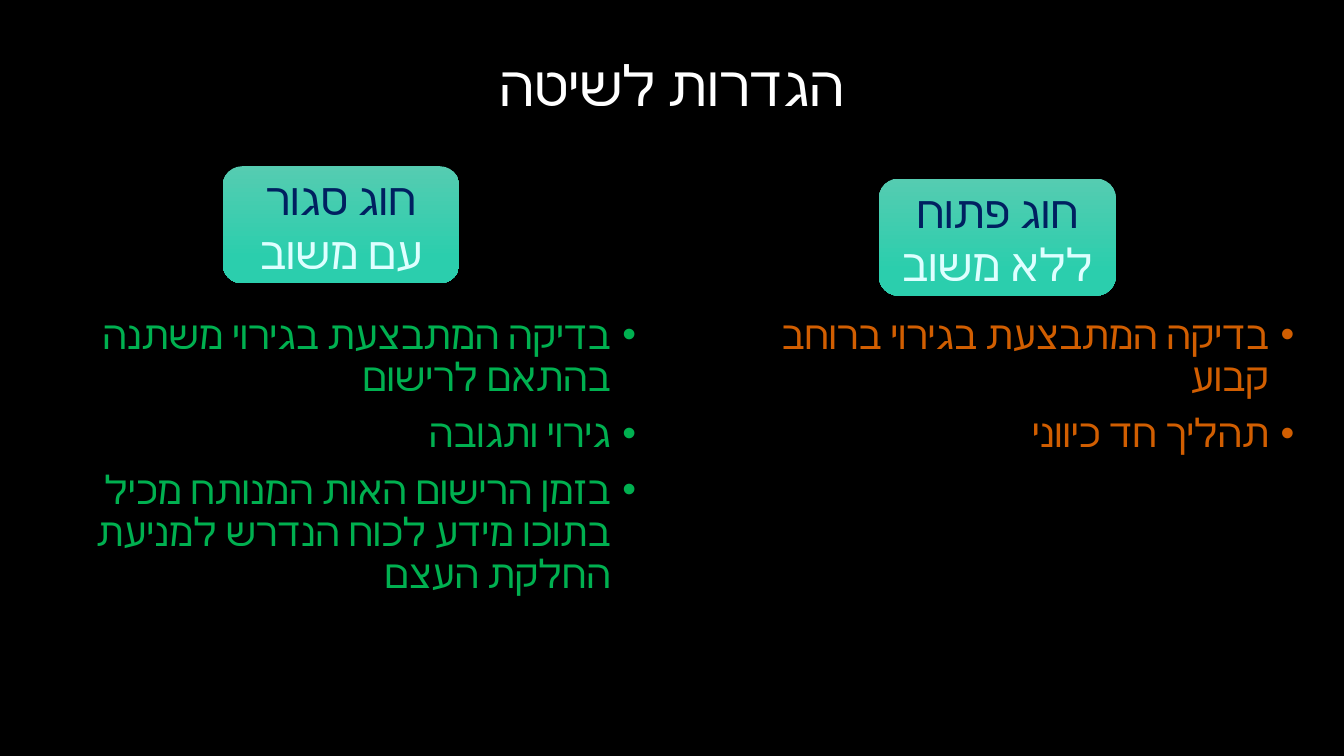
from dataclasses import dataclass

from lxml.etree import SubElement
from pptx import Presentation
from pptx.dml.color import RGBColor
from pptx.enum.shapes import MSO_SHAPE as Shape
from pptx.enum.text import MSO_ANCHOR as Anchor, PP_ALIGN as Align
from pptx.oxml import parse_xml
from pptx.oxml.ns import nsdecls, qn
from pptx.slide import Slide
from pptx.text.text import TextFrame
from pptx.util import Cm, Pt

COLORS = {
    "background": "000000",
    "title": "FFFFFF",
    "badge_top": "55CCB1",
    "badge_bottom": "2BCEAD",
    "loop": "002060",
    "feedback": "DEFFFF",
    "open": "D15E01",
    "closed": "00B050",
}
HEBREW_FONT = "Calibri"
BADGE_W, BADGE_H = 5.97, 2.95
BODY_TOP, BODY_W, BODY_H = 7.82, 15.37, 10.8
BULLET_INDENT = Cm(0.64)
SHADOW = (
    f'<a:effectLst {nsdecls("a")}>'
    f'<a:outerShdw blurRad="{Pt(4.5)}" dist="{Pt(1.5)}" dir="5400000" rotWithShape="0">'
    '<a:srgbClr val="000000"><a:alpha val="48000"/></a:srgbClr>'
    '</a:outerShdw></a:effectLst>'
)


@dataclass
class LoopType:
    name: str
    feedback: str
    badge_left: float
    badge_top: float
    body_left: float
    color: str
    points: list[str]


LOOPS = [
    LoopType("חוג פתוח", "ללא משוב", 22.15, 4.5, 17.5, "open", [
        "בדיקה המתבצעת בגירוי ברוחב קבוע",
        "תהליך חד כיווני",
    ]),
    LoopType("חוג סגור", "עם משוב", 5.61, 4.19, 0.91, "closed", [
        "בדיקה המתבצעת בגירוי משתנה בהתאם לרישום",
        "גירוי ותגובה",
        "בזמן הרישום האות המנותח מכיל בתוכו מידע לכוח הנדרש למניעת החלקת העצם",
    ]),
]


def rgb(name: str) -> RGBColor:
    return RGBColor.from_string(COLORS[name])


def add_text(tf: TextFrame, text: str, *, size: float, font: str, color: str,
             align: Align = Align.CENTER, rtl: bool = False, bullet: bool = False,
             spacing: float = 1.0, before: float = 0) -> None:
    first = not tf.text
    p = tf.paragraphs[0] if first else tf.add_paragraph()
    p.alignment = align
    p.line_spacing = spacing
    p.space_before = Pt(0 if first else before)
    p_pr = p._p.get_or_add_pPr()
    if rtl:
        p_pr.set("rtl", "1")
    if bullet:
        p_pr.set("marL", str(BULLET_INDENT))
        p_pr.set("indent", str(-BULLET_INDENT))
        SubElement(p_pr, qn("a:buFont"), typeface="Arial")
        SubElement(p_pr, qn("a:buChar"), char="•")
    r = p.add_run()
    r.text = text
    r.font.size = Pt(size)
    r.font.name = font
    r.font.color.rgb = rgb(color)
    SubElement(r._r.get_or_add_rPr(), qn("a:cs"), typeface=HEBREW_FONT)


def add_box(s: Slide, left: float, top: float, width: float, height: float,
            anchor: Anchor = Anchor.TOP) -> TextFrame:
    tf = s.shapes.add_textbox(Cm(left), Cm(top), Cm(width), Cm(height)).text_frame
    tf.word_wrap = True
    tf.vertical_anchor = anchor
    return tf


def add_badge(s: Slide, loop: LoopType) -> None:
    sp = s.shapes.add_shape(Shape.ROUNDED_RECTANGLE, Cm(loop.badge_left),
                            Cm(loop.badge_top), Cm(BADGE_W), Cm(BADGE_H))
    sp.fill.gradient()
    sp.fill.gradient_angle = 270
    stops = [(0, "badge_top"), (0.78, "badge_bottom")]
    for stop, (position, color) in zip(sp.fill.gradient_stops, stops):
        stop.position = position
        stop.color.rgb = rgb(color)
    sp.line.fill.background()
    sp._element.spPr.append(parse_xml(SHADOW))
    tf = sp.text_frame
    tf.word_wrap = True
    tf.vertical_anchor = Anchor.MIDDLE
    for text, color in [(loop.name, "loop"), (loop.feedback, "feedback")]:
        add_text(tf, text, size=32, font="TeX Gyre Adventor", color=color)


def add_points(s: Slide, loop: LoopType) -> None:
    tf = add_box(s, loop.body_left, BODY_TOP, BODY_W, BODY_H)
    for point in loop.points:
        add_text(tf, point, size=28, font="Arial", color=loop.color,
                 align=Align.RIGHT, rtl=True, bullet=True, spacing=0.9, before=10)


def main() -> None:
    prs = Presentation()
    prs.slide_width, prs.slide_height = Cm(33.87), Cm(19.05)
    s = prs.slides.add_slide(prs.slide_layouts[6])
    s.background.fill.solid()
    s.background.fill.fore_color.rgb = rgb("background")
    title = add_box(s, 5.08, 0.13, 23.7, 4.19, Anchor.MIDDLE)
    add_text(title, "הגדרות לשיטה", size=40, font="Calibri", color="title",
             rtl=True, spacing=0.9)
    for loop in LOOPS:
        add_badge(s, loop)
        add_points(s, loop)
    prs.save("out.pptx")


if __name__ == "__main__":
    main()
